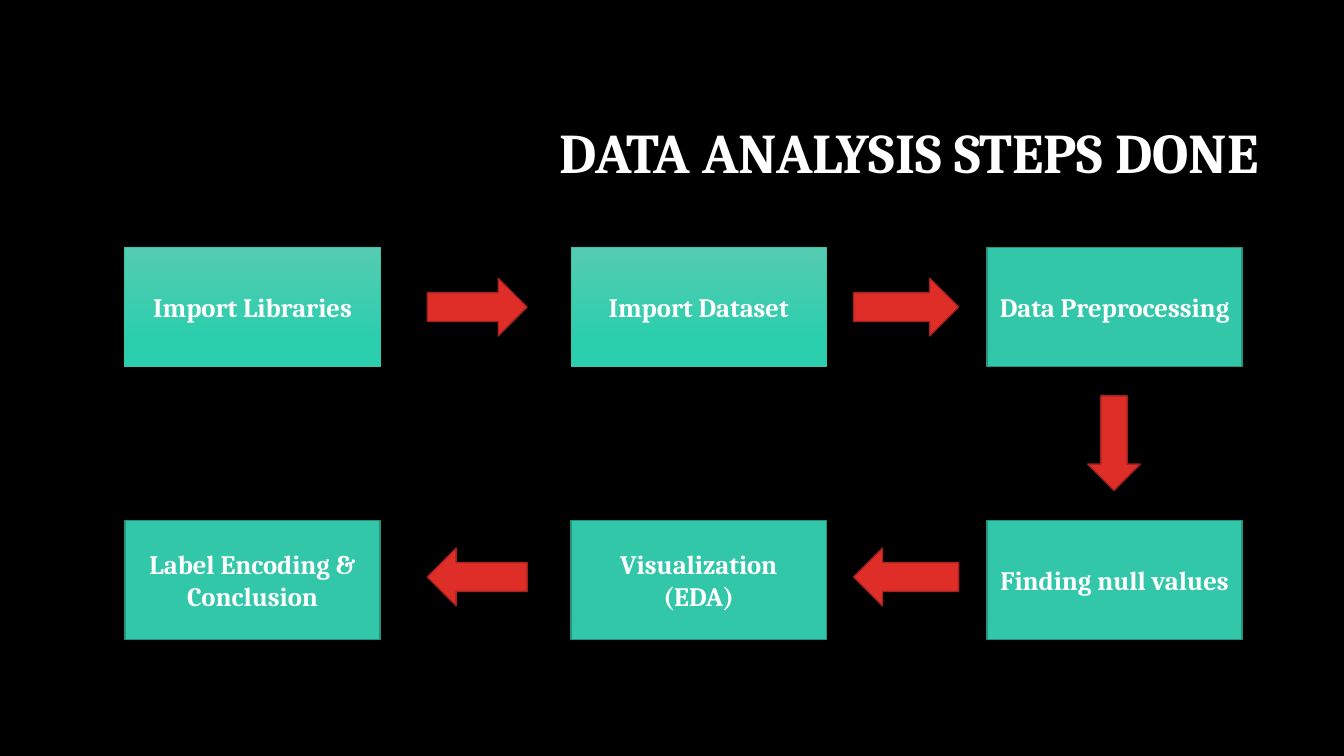
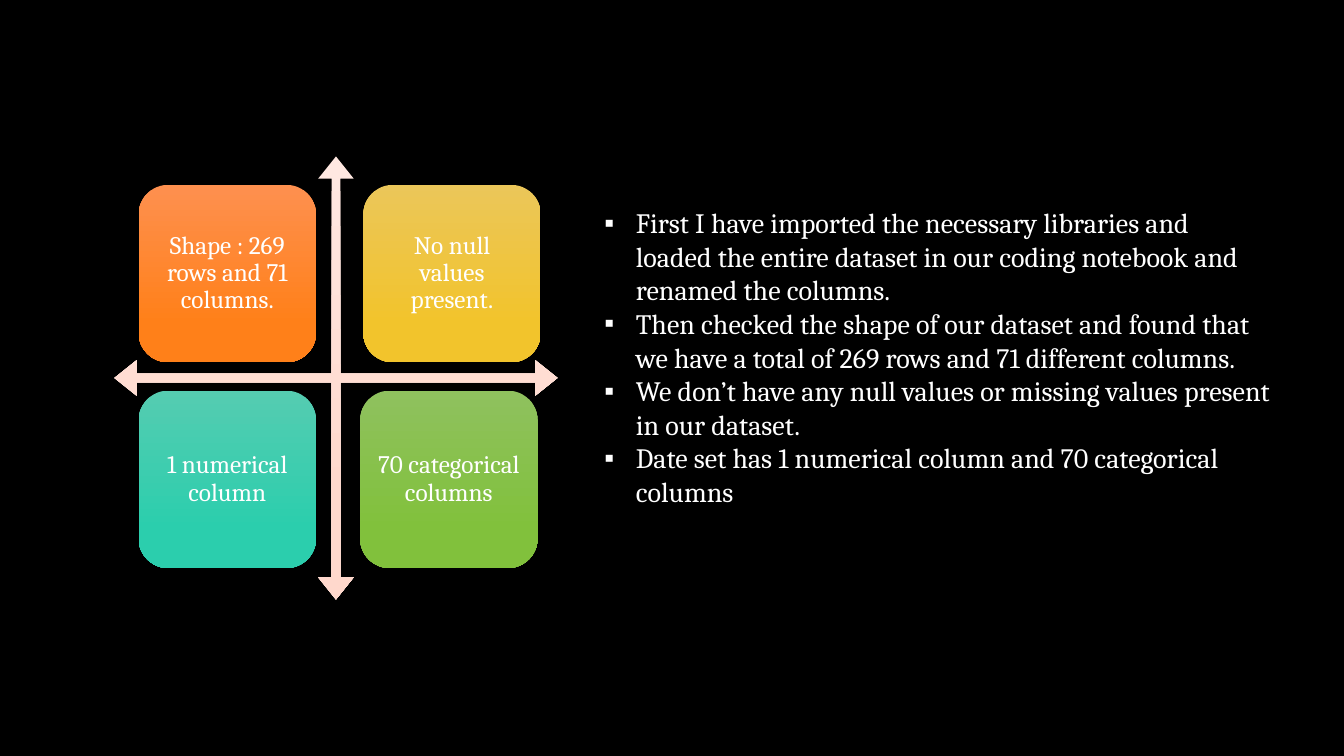
from dataclasses import dataclass

from lxml.etree import SubElement
from pptx import Presentation
from pptx.dml.color import RGBColor
from pptx.enum.shapes import MSO_SHAPE as Shape
from pptx.enum.text import MSO_ANCHOR as Anchor, MSO_AUTO_SIZE as AutoSize, PP_ALIGN as Align
from pptx.oxml.ns import qn
from pptx.util import Pt

PX = 9525  # 96 px to the inch


@dataclass(frozen=True)
class Theme:
    font: str = "Cambria"
    background: str = "000000"
    text: str = "FFFFFF"
    step: str = "32C7A9"
    step_edge: str = "25937D"
    arrow: str = "DF2E28"
    arrow_edge: str = "A5221E"
    teal: tuple = ("55CCB1", "2BCEAD")
    orange: tuple = ("FE904F", "FF8019")
    yellow: tuple = ("EBC659", "F2C42C")
    green: tuple = ("8FC15E", "81C13C")
    cross: tuple = ("FFE8E1", "FFD8CC")
    title_size: int = 40
    step_size: int = 19
    tile_size: int = 18
    body_size: int = 20


THEME = Theme()


def rgb(color):
    return RGBColor.from_string(color)


def place(sp, left, top, width, height):
    sp.left, sp.top, sp.width, sp.height = (v * PX for v in (left, top, width, height))


def paint(sp, color):
    """Fill with one colour, or with a downward gradient for a pair."""
    fill = sp.fill
    if isinstance(color, str):
        fill.solid()
        fill.fore_color.rgb = rgb(color)
        return
    fill.gradient()
    fill.gradient_angle = 270
    for stop, position, shade in zip(fill.gradient_stops, (0, 0.78), color):
        stop.position = position
        stop.color.rgb = rgb(shade)


def add_shape(slide, kind, box, fill, edge=None, weight=1):
    sp = slide.shapes.add_shape(kind, *(v * PX for v in box))
    sp.shadow.inherit = False
    paint(sp, fill)
    if edge:
        sp.line.color.rgb = rgb(edge)
        sp.line.width = Pt(weight)
    else:
        sp.line.fill.background()
    return sp


def write(sp, text, size, align=Align.CENTER, anchor=Anchor.MIDDLE, bold=False, spacing=1.0):
    tf = sp.text_frame
    tf.text = text
    tf.word_wrap = True
    tf.auto_size = AutoSize.NONE
    tf.vertical_anchor = anchor
    for p in tf.paragraphs:
        p.alignment = align
        p.line_spacing = spacing
        p.space_before = Pt(0)
        for r in p.runs:
            r.font.name = THEME.font
            r.font.size = Pt(size)
            r.font.bold = bold
            r.font.color.rgb = rgb(THEME.text)


def add_bullets(sp, indent):
    for p in sp.text_frame.paragraphs:
        pPr = p._p.get_or_add_pPr()
        pPr.set("marL", str(indent * PX))
        pPr.set("indent", str(-indent * PX))
        SubElement(pPr, qn("a:buFont")).set("typeface", "Arial")
        SubElement(pPr, qn("a:buChar")).set("char", "▪")


def add_step(slide, left, top, text, highlighted):
    fill, edge, weight = (THEME.teal, THEME.step, 0.75) if highlighted else (THEME.step, THEME.step_edge, 1)
    sp = add_shape(slide, Shape.RECTANGLE, (left, top, 243, 113), fill, edge, weight)
    write(sp, text, THEME.step_size, bold=True)


def add_tile(slide, left, top, text, fill):
    sp = add_shape(slide, Shape.ROUNDED_RECTANGLE, (left, top, 169, 169), fill)
    write(sp, text, THEME.tile_size, spacing=0.9)
    tf = sp.text_frame
    tf.margin_left = tf.margin_right = tf.margin_top = tf.margin_bottom = 7 * PX


def build_steps(prs):
    slide = prs.slides.add_slide(prs.slide_layouts.get_by_name("Title Only"))
    title = slide.shapes.title
    place(title, 304, 80, 904, 135)
    write(title, "DATA ANALYSIS STEPS DONE", THEME.title_size, Align.RIGHT, bold=True, spacing=0.9)

    columns = (119, 544, 940)
    rows = (
        (236, ("Import Libraries", "Import Dataset", "Data Preprocessing")),
        (496, ("Label Encoding & Conclusion", "Visualization\n(EDA)", "Finding null values")),
    )
    for top, texts in rows:
        for left, text in zip(columns, texts):
            add_step(slide, left, top, text, highlighted=text.startswith("Import"))

    arrows = [(Shape.DOWN_ARROW, (1036, 377, 50, 90))]
    for kind, top in ((Shape.RIGHT_ARROW, 265), (Shape.LEFT_ARROW, 522)):
        for left, width in ((407, 95), (813, 100)):
            arrows.append((kind, (left, top, width, 55)))
    for kind, box in arrows:
        add_shape(slide, kind, box, THEME.arrow, THEME.arrow_edge)


def build_findings(prs):
    slide = prs.slides.add_slide(prs.slide_layouts.get_by_name("Title and Content"))
    title = slide.shapes.title
    title.element.getparent().remove(title.element)

    cross = add_shape(slide, Shape.QUAD_ARROW, (109, 149, 422, 422), THEME.cross)
    for i, value in enumerate((0.02, 0.04, 0.05)):
        cross.adjustments[i] = value

    tiles = (
        (132, 176, "Shape : 269 rows and 71 columns.", THEME.orange),
        (346, 176, "No null values present.", THEME.yellow),
        (132, 372, "1 numerical column", THEME.teal),
        (343, 372, "70 categorical columns", THEME.green),
    )
    for tile in tiles:
        add_tile(slide, *tile)

    notes = (
        "First I have imported the necessary libraries and loaded the entire dataset "
        "in our coding notebook and renamed the columns.",
        "Then checked the shape of our dataset and found that we have a total of "
        "269 rows and 71 different columns.",
        "We don’t have any null values or missing values present in our dataset.",
        "Date set has 1 numerical column and 70 categorical columns",
    )
    body = slide.placeholders[1]
    place(body, 566, 191, 654, 333)
    write(body, "\n".join(notes), THEME.body_size, Align.LEFT, Anchor.TOP)
    add_bullets(body, 30)


def main():
    prs = Presentation()
    prs.slide_width, prs.slide_height = 1280 * PX, 720 * PX
    paint(prs.slide_master.background, THEME.background)
    build_steps(prs)
    build_findings(prs)
    prs.save("out.pptx")


if __name__ == "__main__":
    main()
